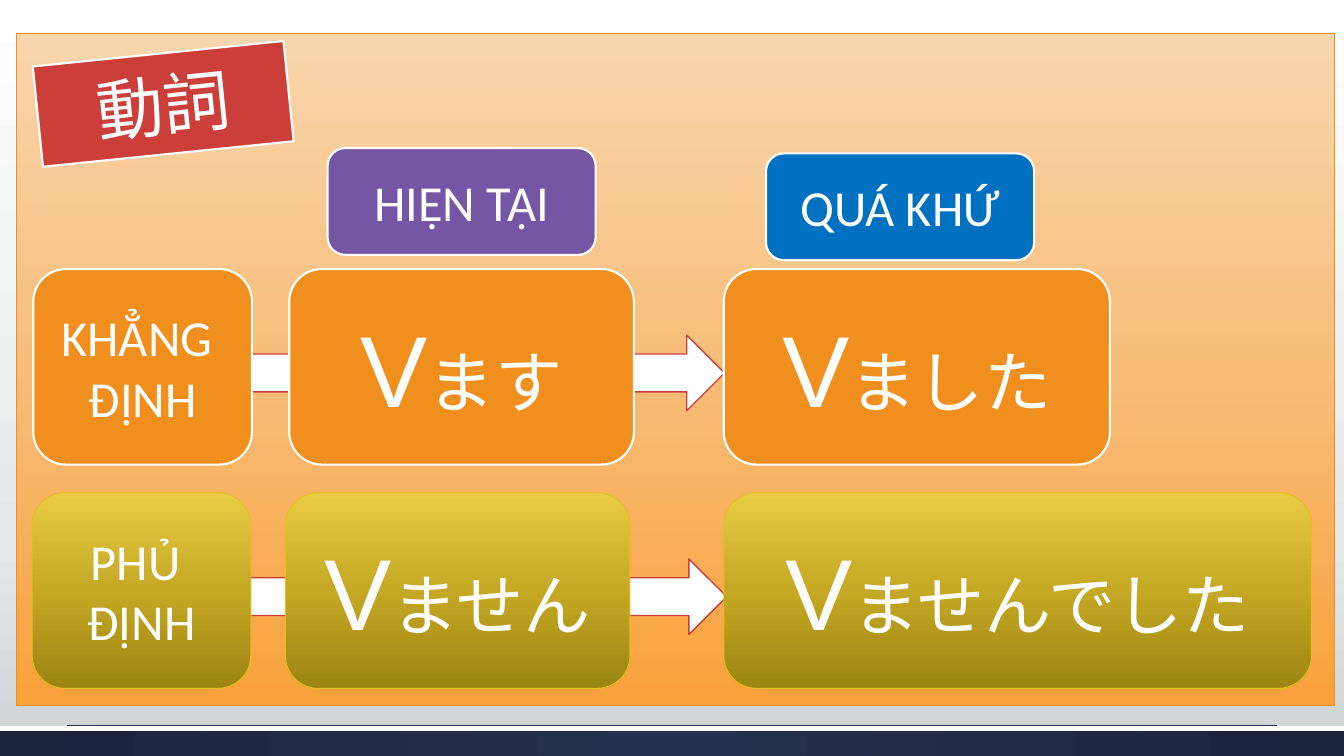
from lxml import etree
from pptx import Presentation
from pptx.dml.color import RGBColor
from pptx.enum.shapes import MSO_CONNECTOR, MSO_SHAPE
from pptx.enum.text import MSO_ANCHOR, PP_ALIGN
from pptx.oxml.ns import qn
from pptx.util import Pt

RECT = MSO_SHAPE.RECTANGLE
ROUNDED = MSO_SHAPE.ROUNDED_RECTANGLE
ARROW = MSO_SHAPE.RIGHT_ARROW
STRAIGHT = MSO_CONNECTOR.STRAIGHT
MIDDLE = MSO_ANCHOR.MIDDLE
CENTER = PP_ALIGN.CENTER

WHITE, RED, ORANGE = "FFFFFF", "CB3E3A", "F08F1E"
GOLD = [(0, "E9CC44"), (50, "C5A823"), (100, "9D8513")]


def paint(fill, element, colour):
    """Fill with one hex colour, or top to bottom with (percent, hex) stops."""
    if isinstance(colour, str):
        fill.solid()
        fill.fore_color.rgb = RGBColor.from_string(colour)
        return
    fill.gradient()
    fill.gradient_angle = 270
    stops = next(element.iter(qn("a:gsLst")))
    for stop in list(stops):
        stops.remove(stop)
    for percent, value in colour:
        stop = etree.SubElement(stops, qn("a:gs"), pos=str(percent * 1000))
        etree.SubElement(stop, qn("a:srgbClr"), val=value)


def style(box, colour, line=None, paragraphs=()):
    """Format a box; each paragraph is a list of (text, font, size) spans."""
    paint(box.fill, box.element, colour)
    if line:
        line_colour, line_width = line
        box.line.color.rgb = RGBColor.from_string(line_colour)
        box.line.width = Pt(line_width)
    else:
        box.line.fill.background()
    frame = box.text_frame
    frame_format = {"word_wrap": True, "vertical_anchor": MIDDLE,
                    "margin_left": Pt(7.2), "margin_right": Pt(7.2),
                    "margin_top": Pt(3.6), "margin_bottom": Pt(3.6)}
    for name, value in frame_format.items():
        setattr(frame, name, value)
    for index, spans in enumerate(paragraphs):
        para = frame.add_paragraph() if index else frame.paragraphs[0]
        para.alignment = CENTER
        for text, font, size in spans:
            span = para.add_run()
            span.text = text
            for name, value in {"name": font, "size": Pt(size)}.items():
                setattr(span.font, name, value)
            span.font.color.rgb = RGBColor.from_string(WHITE)


deck = Presentation()
deck.slide_width, deck.slide_height = Pt(960), Pt(540)
page = deck.slides.add_slide(deck.slide_layouts[5])
paint(page.background.fill, page.element,
      [(0, "FFFFFF"), (72, "E5E8E8"), (100, "CCD2D2")])

# Bottom band and orange panel
backdrop = [
    ((0, 518.4, 960, 21.6), [(0, "263050"), (100, "1C243C")], None),
    ((0, 518.4, 960, 3.6), WHITE, None),
    ((12, 24, 941, 480), [(0, "F9D6AD"), (50, "F7BD79"), (100, "F9A13B")],
     (ORANGE, 0.75)),
]
for place, colour, line in backdrop:
    panel = page.shapes.add_shape(RECT, *map(Pt, place))
    panel.shadow.inherit = False
    style(panel, colour, line)

# The band shades outward from its centre
band = page.shapes[1].element
direction = next(band.iter(qn("a:lin")))
radial = etree.Element(qn("a:path"), path="circle")
etree.SubElement(radial, qn("a:fillToRect"),
                 l="50000", t="50000", r="50000", b="50000")
direction.getparent().replace(direction, radial)

# Thin rule above the band
rule = page.shapes.add_connector(STRAIGHT, Pt(48), Pt(518), Pt(912), Pt(518))
rule.line.color.rgb = RGBColor.from_string("263050")
rule.line.width = Pt(0.75)
etree.SubElement(rule.element.spPr, qn("a:effectLst"))

# Tilted title label, in front of the panel
title = page.shapes.title
title_place = {"left": Pt(26.6), "top": Pt(38.2), "width": Pt(180),
               "height": Pt(72), "rotation": 354.2}
for name, value in title_place.items():
    setattr(title, name, value)
outline = etree.Element(qn("a:prstGeom"), prst="roundRect")
etree.SubElement(outline, qn("a:avLst"))
title.element.spPr.insert(1, outline)
style(title, RED, (WHITE, 1.5), [[("動詞", "Arial", 48)]])
page.shapes[-1].element.addnext(title.element)

# Column headings
headings = [("HIỆN TẠI", 234, 105.8, "7556A4"),
            ("QUÁ KHỨ", 547.2, 109.6, "0070C0")]
for text, left, top, colour in headings:
    heading = page.shapes.add_shape(ROUNDED, Pt(left), Pt(top), Pt(191.5), Pt(76.3))
    heading.shadow.inherit = False
    style(heading, colour, (WHITE, 1.5), [[(text, "Calibri", 36)]])

# Verb rows: an arrow behind a label, the present form and the past form
rows = [
    (192.2, ORANGE, (WHITE, 1.5), 102.2, ["KHẲNG ", "ĐỊNH"],
     [(23.8, 156.2), (206.6, 246.2), (517, 275.8)], ["ます", "ました"]),
    (352, GOLD, ("E3C01E", 0.75), 103.7, ["PHỦ ", "ĐỊNH"],
     [(23, 156.2), (203.8, 246.2), (517, 419.8)], ["ません", "ませんでした"]),
]
for top, colour, line, arrow_left, label, spots, endings in rows:
    arrow = page.shapes.add_shape(ARROW, Pt(arrow_left), Pt(top + 47.2),
                                  Pt(415.4), Pt(54))
    arrow.shadow.inherit = False
    style(arrow, WHITE, (RED, 1))
    texts = [[[(word, "Calibri", 36)] for word in label]]
    texts += [[[("V", "Arial", 72), (ending, "Arial", 48)]] for ending in endings]
    for (left, width), paragraphs in zip(spots, texts):
        box = page.shapes.add_shape(ROUNDED, Pt(left), Pt(top), Pt(width), Pt(139.7))
        box.shadow.inherit = False
        style(box, colour, line, paragraphs)

deck.save("out.pptx")
